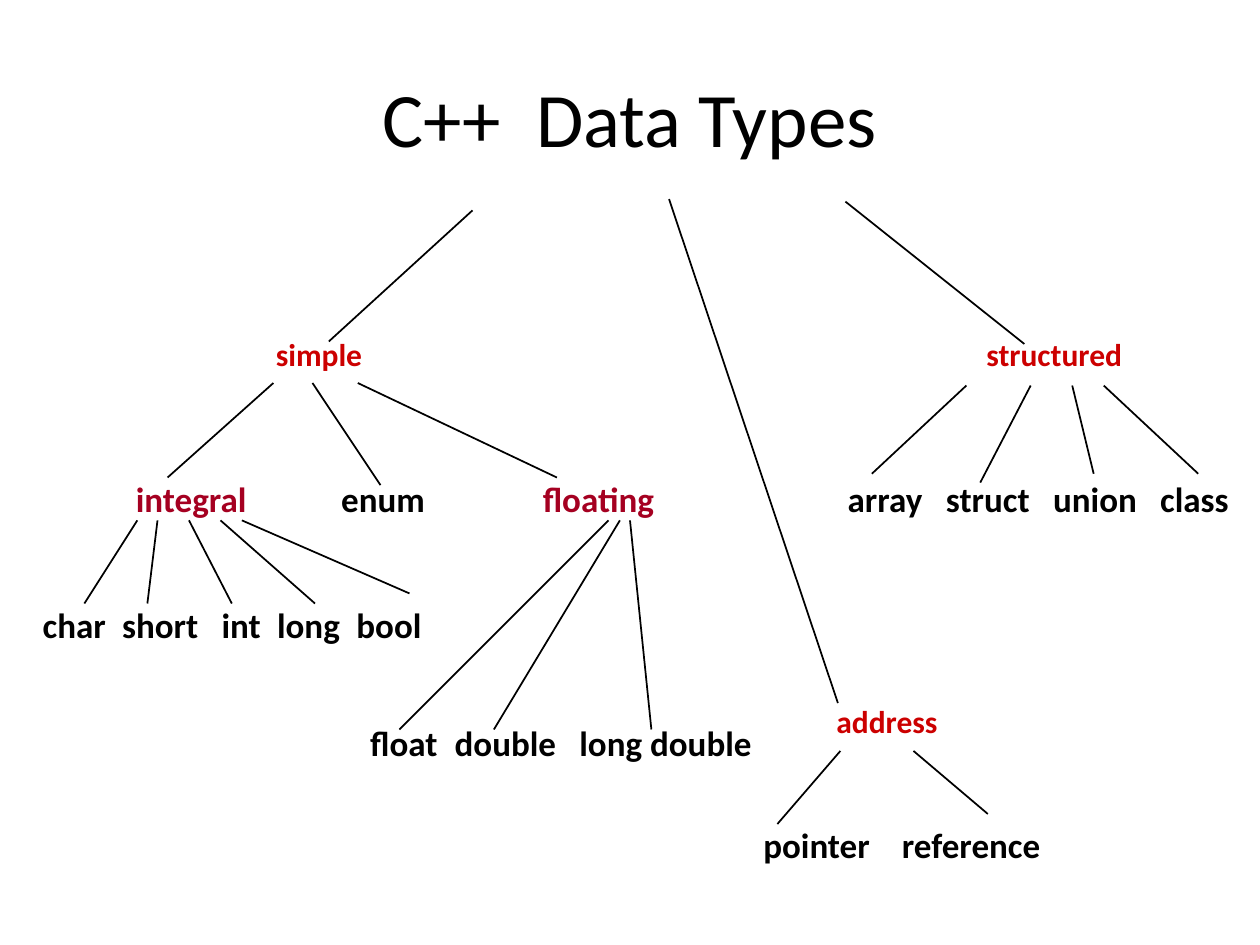
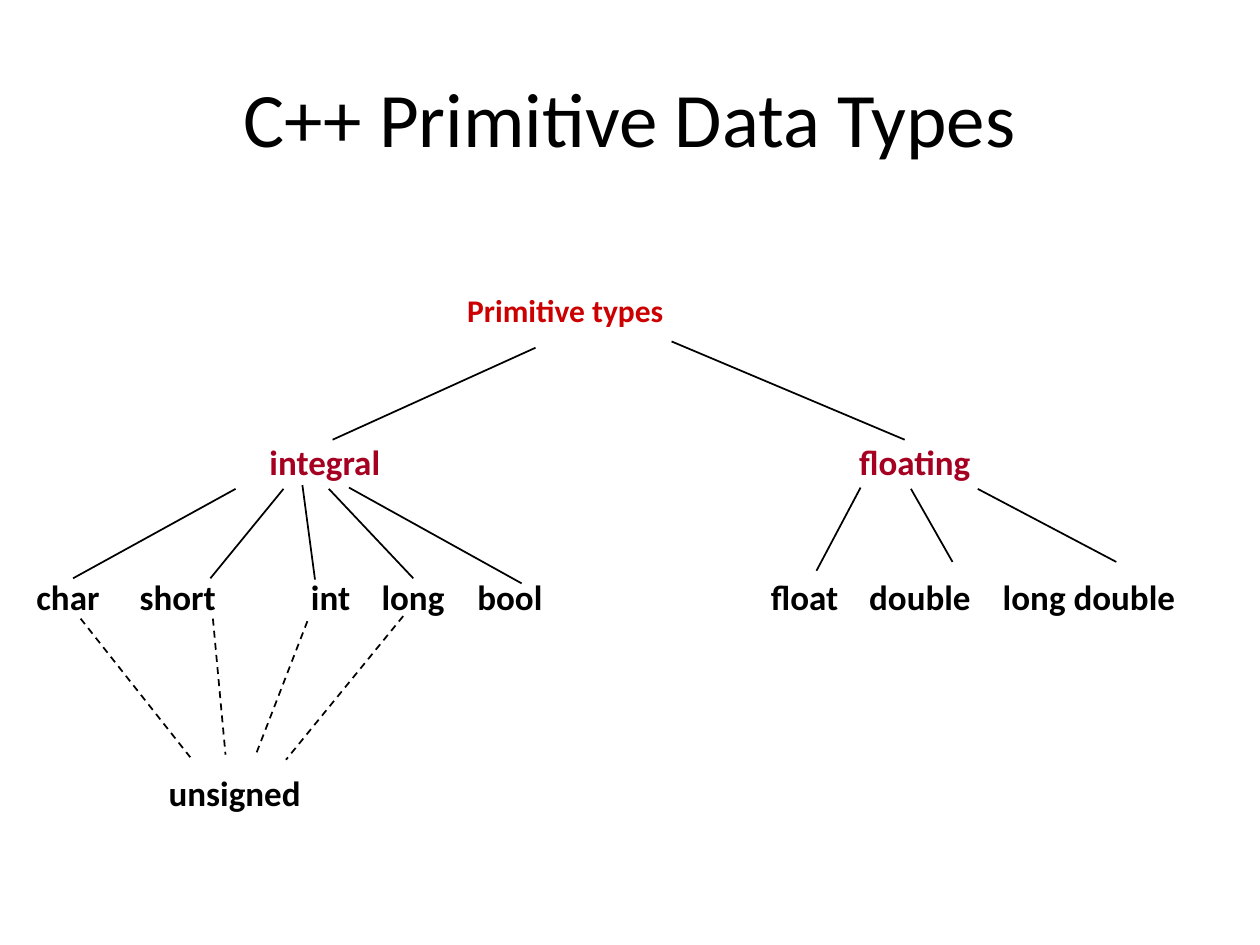
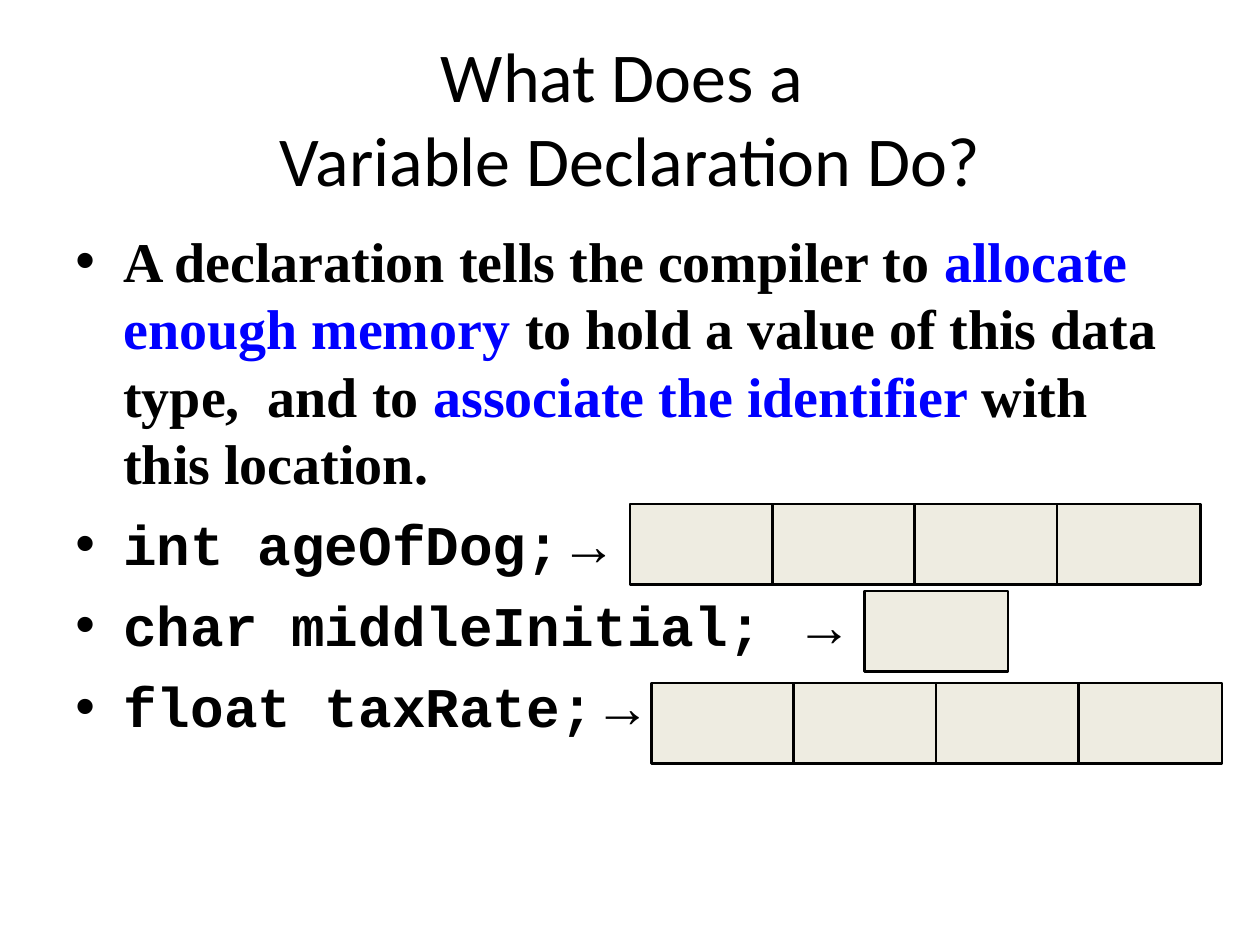
from lxml import etree
from pptx import Presentation
from pptx.dml.color import RGBColor
from pptx.enum.dml import MSO_LINE
from pptx.enum.shapes import MSO_CONNECTOR, MSO_SHAPE
from pptx.enum.text import MSO_ANCHOR, PP_ALIGN
from pptx.oxml.ns import qn
from pptx.util import Inches, Pt

BLACK, RED, CRIMSON, BLUE, CREAM = "000000", "CC0000", "A50021", "0000FF", "EEECE1"
SANS, SERIF, MONO, SYMBOL = "Calibri", "Times New Roman", "Courier New", "Arial"
INSET = 0.1
CELL_W, CELL_H, CELL_STEP = 1.14, 0.64, 1.13


def rgb(color):
    return RGBColor.from_string(color)


class Deck:
    def __init__(self):
        self.prs = Presentation()
        self.prs.slide_width, self.prs.slide_height = Inches(10), Inches(7.5)
        self.s = None

    def slide(self, title, size=44):
        self.s = self.prs.slides.add_slide(self.prs.slide_layouts[6])
        tf = self.box(0.5, 0.3, 9, 1.25)
        tf.vertical_anchor = MSO_ANCHOR.MIDDLE
        p = tf.paragraphs[0]
        p.alignment = PP_ALIGN.CENTER
        for i, line in enumerate(title):
            if i:
                p.add_line_break()
            self.run(p, line, size)

    def box(self, x, y, w, h, wrap=True):
        sp = self.s.shapes.add_textbox(Inches(x), Inches(y), Inches(w), Inches(h))
        sp.text_frame.word_wrap = wrap
        return sp.text_frame

    def run(self, p, text, size, color=BLACK, font=SANS, bold=False):
        r = p.add_run()
        r.text = text
        f = r.font
        f.size, f.name, f.bold = Pt(size), font, bold
        f.color.rgb = rgb(color)

    def label(self, text, x, y, w, color=RED, size=18):
        p = self.box(x, y, w, 0.4, wrap=False).paragraphs[0]
        self.run(p, text, size, color, bold=True)

    def row(self, y, words):
        """Set words on one line; each is (text, left edge) or (text, left edge, colour)."""
        start = words[0][1]
        width = words[-1][1] - start + 1.6
        p = self.box(start - INSET, y, min(width, 10 - start), 0.43).paragraphs[0]
        tabs = etree.SubElement(p._p.get_or_add_pPr(), qn("a:tabLst"))
        for i, (text, x, *color) in enumerate(words):
            if i:
                etree.SubElement(tabs, qn("a:tab"), pos=str(Inches(x - start)), algn="l")
                text = "\t" + text
            self.run(p, text, 20, *color, bold=True)

    def line(self, x1, y1, x2, y2, dashed=False):
        c = self.s.shapes.add_connector(
            MSO_CONNECTOR.STRAIGHT, Inches(x1), Inches(y1), Inches(x2), Inches(y2))
        c.line.color.rgb, c.line.width = rgb(BLACK), Pt(1)
        if dashed:
            c.line.dash_style = MSO_LINE.DASH
        etree.SubElement(c._element.spPr, qn("a:effectLst"))

    def fan(self, y1, y2, pairs):
        """Draw lines between two levels, one per (upper x, lower x)."""
        for x1, x2 in pairs:
            self.line(x1, y1, x2, y2)

    def bullets(self, x, y, w, h, items, size=32):
        tf = self.box(x, y, w, h)
        for i, runs in enumerate(items):
            p = tf.add_paragraph() if i else tf.paragraphs[0]
            if i:
                p.space_before = Pt(8)
            pPr = p._p.get_or_add_pPr()
            pPr.set("marL", str(Inches(0.38)))
            pPr.set("indent", str(Inches(-0.38)))
            etree.SubElement(pPr, qn("a:buFont"), typeface=SYMBOL)
            etree.SubElement(pPr, qn("a:buChar"), char="•")
            for text, color, font in runs:
                self.run(p, text, size, color, font, bold=True)

    def cells(self, x, y, count):
        """Draw the memory cells of one variable side by side."""
        for i in range(count):
            sp = self.s.shapes.add_shape(
                MSO_SHAPE.RECTANGLE, Inches(x + i * CELL_STEP), Inches(y),
                Inches(CELL_W), Inches(CELL_H))
            sp.shadow.inherit = False
            sp.fill.solid()
            sp.fill.fore_color.rgb = rgb(CREAM)
            sp.line.color.rgb, sp.line.width = rgb(BLACK), Pt(1.5)


def data_types(d):
    d.slide(["C++  Data Types"])
    d.line(3.75, 1.67, 2.61, 2.71)
    d.line(5.31, 1.58, 6.65, 5.58)
    d.line(6.71, 1.6, 8.13, 2.73)

    d.label("simple", 2.09, 2.61, 0.89)
    d.fan(3.04, 3.79, [(2.17, 1.33), (2.84, 4.42)])
    d.line(2.48, 3.04, 3.02, 3.85)
    d.row(3.74, [("integral", 1.08, CRIMSON), ("enum", 2.71)])
    d.label("floating", 4.21, 3.74, 1.09, CRIMSON, 20)
    d.fan(4.13, 4.79, [(1.09, 0.67), (1.25, 1.17), (1.5, 1.84), (1.75, 2.5)])
    d.line(1.92, 4.13, 3.25, 4.71)
    d.row(4.74, [("char", 0.34), ("short", 0.97), ("int", 1.76),
                 ("long", 2.2), ("bool", 2.83)])
    d.fan(4.13, 5.79, [(4.83, 3.17), (4.92, 3.92), (5, 5.17)])
    d.row(5.68, [("float", 2.94), ("double", 3.61), ("long double", 4.6)])

    d.label("structured", 7.73, 2.61, 1.29)
    d.fan(3.06, 3.76, [(7.67, 6.92), (8.51, 8.68), (8.76, 9.51)])
    d.line(8.18, 3.06, 7.78, 3.83)
    d.row(3.74, [("array", 6.73), ("struct", 7.51), ("union", 8.36), ("class", 9.21)])

    d.label("address", 6.54, 5.52, 1.01)
    d.line(6.67, 5.96, 6.17, 6.54)
    d.line(7.25, 5.96, 7.84, 6.46)
    d.row(6.49, [("pointer", 6.06), ("reference", 7.16)])


def primitive_types(d):
    d.slide(["C++ Primitive Data Types"])
    d.label("Primitive types", 3.61, 2.26, 1.76)
    d.line(4.25, 2.76, 2.64, 3.49)
    d.line(5.33, 2.71, 7.18, 3.49)
    for text, x in [("integral", 2.04), ("floating", 6.72)]:
        d.label(text, x, 3.45, 1.09, CRIMSON, 20)
    d.fan(3.88, 4.59, [(1.87, 0.58), (2.25, 1.67), (2.61, 3.28)])
    d.line(2.4, 3.85, 2.5, 4.6)
    d.line(2.77, 3.87, 4.14, 4.63)
    d.line(6.83, 3.87, 6.48, 4.53)
    d.fan(3.88, 4.46, [(7.23, 7.56), (7.76, 8.86)])
    d.row(4.52, [("char", 0.29), ("short", 1.11), ("int", 2.47), ("long", 3.03),
                 ("bool", 3.79), ("float", 6.12), ("double", 6.9), ("long double", 7.96)])
    for ends in [(0.64, 4.91, 1.51, 6.01), (1.69, 4.91, 1.79, 5.99),
                 (2.44, 4.93, 2.03, 5.99), (3.2, 4.89, 2.27, 6.03)]:
        d.line(*ends, dashed=True)
    d.label("unsigned", 1.24, 6.07, 1.25, BLACK, 20)


def declaration(d):
    d.slide(["What Does a ", "Variable Declaration Do?"], 40)
    explanation = [
        ("A declaration tells the compiler to ", BLACK, SERIF),
        ("allocate enough memory ", BLUE, SERIF),
        ("to hold a value of this data type,  and to ", BLACK, SERIF),
        ("associate the identifier ", BLUE, SERIF),
        ("with this location.", BLACK, SERIF),
    ]
    examples = [[(code, BLACK, MONO), ("→", BLACK, SYMBOL)]
                for code in ("int ageOfDog;", "char middleInitial; ", "float taxRate;")]
    d.bullets(0.5, 1.75, 9, 4.95, [explanation, *examples])
    for x, y, count in [(5, 4, 4), (6.86, 4.69, 1), (5.17, 5.42, 4)]:
        d.cells(x, y, count)


def main():
    d = Deck()
    data_types(d)
    primitive_types(d)
    declaration(d)
    d.prs.save("out.pptx")


if __name__ == "__main__":
    main()
